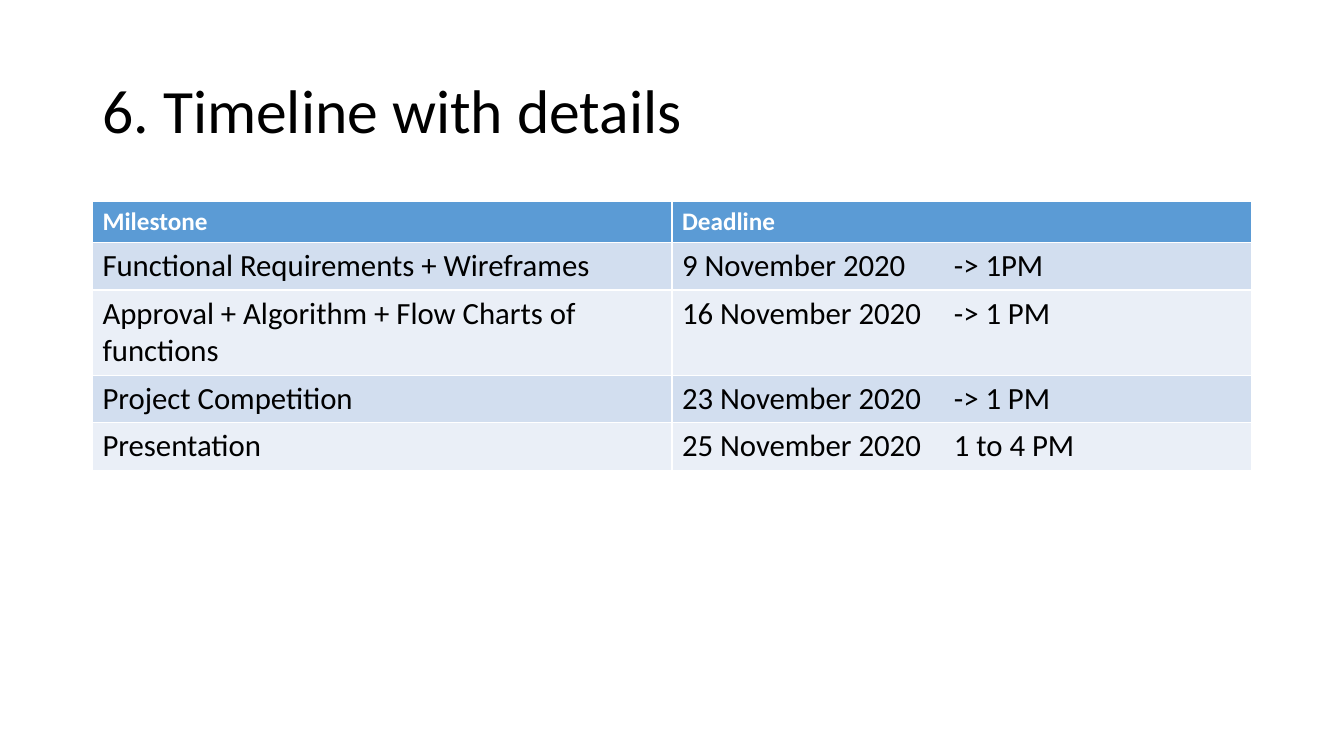
from dataclasses import dataclass

from lxml import etree
from pptx import Presentation
from pptx import util as u
from pptx.dml.color import RGBColor
from pptx.enum import text as t
from pptx.oxml import ns


@dataclass(frozen=True)
class Theme:
    font: str = "Calibri"
    ink: str = "000000"
    paper: str = "FFFFFF"
    header: str = "5B9BD5"
    bands: tuple = ("D2DEEF", "EAEFF7")
    title_size: int = 44
    header_size: int = 18
    body_size: int = 22


@dataclass(frozen=True)
class Box:
    left: float
    top: float
    width: float
    height: float


THEME = Theme()
HEADINGS = ("Milestone", "Deadline")
MILESTONES = (
    ("Functional Requirements + Wireframes", "9 November 2020\t-> 1PM"),
    ("Approval + Algorithm + Flow Charts of functions", "16 November 2020\t-> 1 PM"),
    ("Project Competition", "23 November 2020\t-> 1 PM"),
    ("Presentation", "25 November 2020\t1 to 4 PM"),
)
ROW_HEIGHTS = (1.03, 1.19, 2.12, 1.19, 1.19)
TIME_TAB = 6.85


def write(frame, text, size, color=THEME.ink, bold=False, spacing=1.0, tab=None):
    para = frame.paragraphs[0]
    para.alignment = t.PP_ALIGN.LEFT
    para.line_spacing = spacing
    if tab is not None:
        tabs = etree.SubElement(para._p.get_or_add_pPr(), ns.qn("a:tabLst"))
        etree.SubElement(tabs, ns.qn("a:tab"), pos=str(u.Cm(tab)), algn="l")
    span = para.add_run()
    span.text = text
    span.font.name = THEME.font
    span.font.size = u.Pt(size)
    span.font.bold = bold
    span.font.color.rgb = RGBColor.from_string(color)


def place_title(page, box, text):
    title = page.shapes.title
    title.left, title.top = u.Cm(box.left), u.Cm(box.top)
    title.width, title.height = u.Cm(box.width), u.Cm(box.height)
    frame = title.text_frame
    frame.word_wrap = True
    frame.auto_size = t.MSO_AUTO_SIZE.NONE
    frame.vertical_anchor = t.MSO_ANCHOR.MIDDLE
    write(frame, text, THEME.title_size, spacing=0.9)


def fill_cell(cell, color):
    cell.fill.solid()
    cell.fill.fore_color.rgb = RGBColor.from_string(color)


def place_timeline(page, box):
    table = page.shapes.add_table(
        len(MILESTONES) + 1, len(HEADINGS),
        u.Cm(box.left), u.Cm(box.top), u.Cm(box.width), u.Cm(box.height),
    ).table
    for row, height in zip(table.rows, ROW_HEIGHTS):
        row.height = u.Cm(height)
    for column, heading in enumerate(HEADINGS):
        cell = table.cell(0, column)
        fill_cell(cell, THEME.header)
        write(cell.text_frame, heading, THEME.header_size, THEME.paper, bold=True)
    for index, milestone in enumerate(MILESTONES):
        for column, text in enumerate(milestone):
            cell = table.cell(index + 1, column)
            fill_cell(cell, THEME.bands[index % 2])
            write(cell.text_frame, text, THEME.body_size,
                  tab=TIME_TAB if "\t" in text else None)


def main():
    deck = Presentation()
    deck.slide_width, deck.slide_height = u.Cm(33.87), u.Cm(19.05)
    page = deck.slides.add_slide(deck.slide_layouts[5])
    place_title(page, Box(2.33, 1.01, 29.21, 3.68), "6. Timeline with details")
    place_timeline(page, Box(2.33, 5.08, 29.21, sum(ROW_HEIGHTS)))
    deck.save("out.pptx")


if __name__ == "__main__":
    main()
